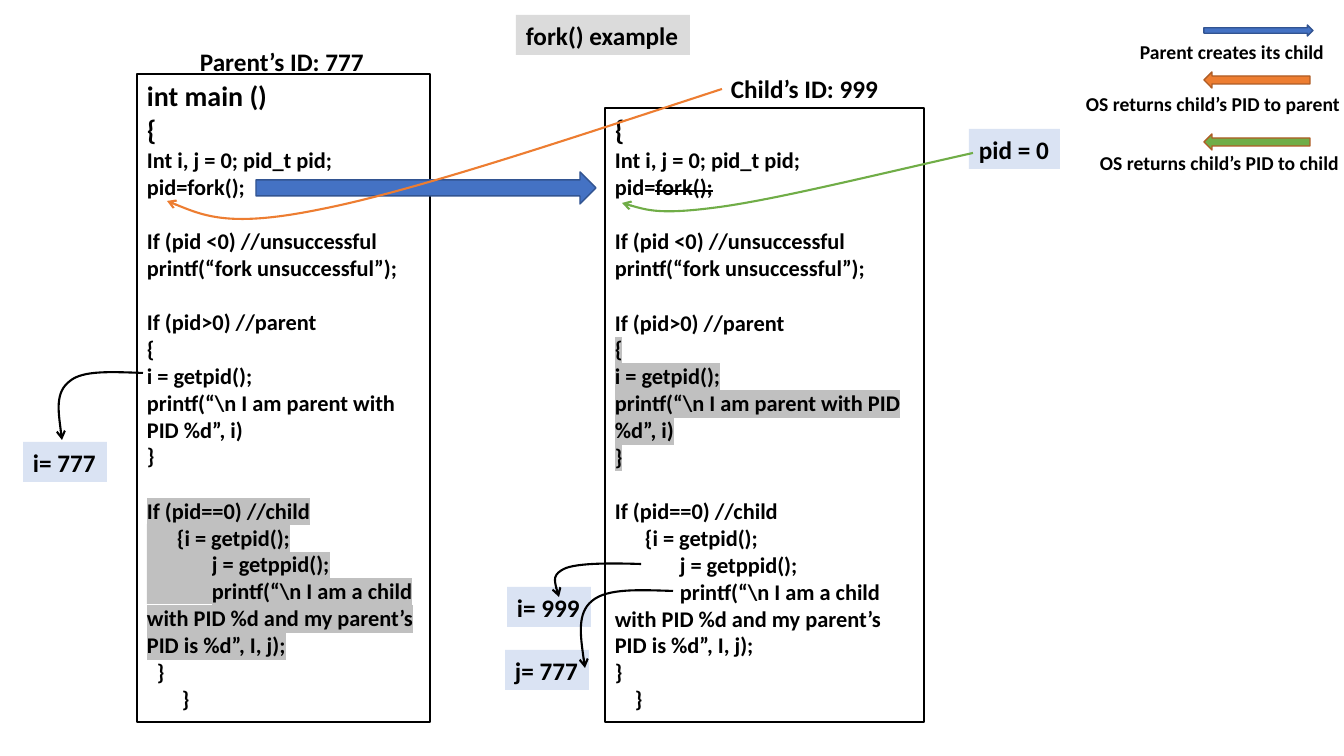
from lxml.etree import SubElement
from pptx import Presentation
from pptx.dml.color import RGBColor
from pptx.enum.shapes import MSO_SHAPE as SHAPE
from pptx.enum.text import MSO_ANCHOR, PP_ALIGN
from pptx.oxml.ns import qn
from pptx.util import Pt

PX = 9071  # EMU per pixel, 100.8 pixels to the inch
BLACK = RGBColor(0x00, 0x00, 0x00)
WHITE = RGBColor(0xFF, 0xFF, 0xFF)
GREY = RGBColor(0xC0, 0xC0, 0xC0)
TITLE_GREY = RGBColor(0xDB, 0xDB, 0xDB)
PALE_BLUE = RGBColor(0xDA, 0xE3, 0xF3)
BLUE = RGBColor(0x44, 0x72, 0xC4)
DARK_BLUE = RGBColor(0x32, 0x54, 0x91)
ORANGE = RGBColor(0xED, 0x7D, 0x31)
DARK_ORANGE = RGBColor(0xAF, 0x5C, 0x24)
GREEN = RGBColor(0x70, 0xAD, 0x47)

SPACE = 5          # width of one space of indent, in pixels
BLANK_LINE = 19.5  # gap between code blocks, in points

# Code blocks shared by both processes: (indent in spaces, text)
DECLARE = [(0, "{"), (0, "Int i, j = 0; pid_t pid;"), (0, "pid=fork();")]
FAILED = [(0, "If (pid <0) //unsuccessful"), (0, "printf(“fork unsuccessful”);")]
IF_PARENT = [(0, "If (pid>0) //parent"), (0, "{"), (0, "i = getpid();"),
             (0, "printf(“\\n I am parent with PID %d”, i)"), (0, "}")]
IF_CHILD = [(0, "If (pid==0) //child"), (6, "{i = getpid();"), (13, "j = getppid();"),
            (13, "printf(“\\n I am a child with PID %d and my parent’s PID is %d”, I, j);")]


def emu(*pixels):
    return [round(v * PX) for v in pixels]


def add_box(slide, box, fill, line=None, kind=SHAPE.RECTANGLE):
    s = slide.shapes.add_shape(kind, *emu(*box))
    s.shadow.inherit = False
    s.fill.solid()
    s.fill.fore_color.rgb = fill
    if line is None:
        s.line.fill.background()
    else:
        s.line.color.rgb = line
        s.line.width = Pt(1)
    return s


def style_run(r, size, highlight=False, strike=False):
    r.font.size = Pt(size)
    r.font.bold = True
    r.font.color.rgb = BLACK
    r.font.name = "Calibri"
    rPr = r.font._element
    if strike:
        rPr.set("strike", "sngStrike")
    if highlight:
        mark = SubElement(rPr, qn("a:highlight"))
        SubElement(mark, qn("a:srgbClr")).set("val", str(GREY))
        rPr.find(qn("a:solidFill")).addnext(mark)


def add_label(slide, box, text, size=18, fill=None):
    if fill is None:
        s = slide.shapes.add_textbox(*emu(*box))
    else:
        s = add_box(slide, box, fill)
    tf = s.text_frame
    tf.word_wrap = False
    tf.vertical_anchor = MSO_ANCHOR.TOP
    tf.text = text
    tf.paragraphs[0].alignment = PP_ALIGN.LEFT
    style_run(tf.paragraphs[0].runs[0], size)


def add_curve(slide, points, color):
    """Draw cubic curves through a start point and groups of three points."""
    builder = slide.shapes.build_freeform(*points[0], scale=PX)
    builder.add_line_segments(points[1:], close=False)
    s = builder.convert_to_shape()
    s.shadow.inherit = False
    s.fill.background()
    s.line.color.rgb = color
    s.line.width = Pt(1.5)
    SubElement(s.line._get_or_add_ln(), qn("a:tailEnd")).set("type", "arrow")
    # Turn every three straight segments into one cubic curve
    outline = next(s._element.iter(qn("a:path")))
    steps = outline.findall(qn("a:lnTo"))
    for i in range(0, len(steps), 3):
        curve = SubElement(outline, qn("a:cubicBezTo"))
        for step in steps[i:i + 3]:
            curve.append(step[0])
            outline.remove(step)


def add_program(slide, box, blocks, grey, strike_fork=False):
    """Draw one code listing; grey holds the (block, line) pairs to shade."""
    tf = add_box(slide, box, WHITE, BLACK).text_frame
    tf.word_wrap = True
    tf.vertical_anchor = MSO_ANCHOR.TOP
    p = tf.paragraphs[0]
    for b, block in enumerate(blocks):
        for n, (indent, text) in enumerate(block):
            if b or n:
                p = tf.add_paragraph()
            p.alignment = PP_ALIGN.LEFT
            pPr = p._p.get_or_add_pPr()
            pPr.set("marL", "0")
            pPr.set("indent", str(indent * SPACE * PX))
            if b and n == 0:
                p.space_before = Pt(BLANK_LINE)
            size = 20 if b == 0 and text in ("int main ()", "{") else 16
            struck = strike_fork and text.endswith("fork();")
            for part in ("pid=", "fork();") if struck else (text,):
                r = p.add_run()
                r.text = part
                style_run(r, size, (b, n) in grey, struck and part == "fork();")


def add_parent(slide, box):
    x, y, w, h = box
    blocks = [[(0, "int main ()")] + DECLARE, FAILED, IF_PARENT,
              IF_CHILD + [(2, "}"), (7, "}")]]
    add_program(slide, box, blocks, {(3, n) for n in range(4)})
    # Shading of the indents
    for top, spaces, height in ((450, 6, 27), (477, 13, 53)):
        add_box(slide, (x + 10, y + top, spaces * SPACE, height), GREY)
    add_label(slide, (x + 53, y - 33, 185, 40), "Parent’s ID: 777")
    # Value of i
    add_label(slide, (x - 114, y + 368, 84, 40), "i= 777", fill=PALE_BLUE)
    offsets = [(6, 299), (-24, 298), (-54, 296), (-67, 307),
               (-82, 318), (-78, 343), (-75, 366)]
    add_curve(slide, [(x + dx, y + dy) for dx, dy in offsets], BLACK)


def add_child(slide, box):
    x, y, w, h = box
    blocks = [DECLARE, FAILED, IF_PARENT, IF_CHILD + [(0, "}"), (4, "}")]]
    add_program(slide, box, blocks, {(2, n) for n in range(1, 5)}, strike_fork=True)
    add_label(slide, (x + 116, y - 40, 168, 40), "Child’s ID: 999")
    # Return value in the child
    add_label(slide, (x + 364, y + 21, 91, 40), "pid = 0", fill=PALE_BLUE)
    offsets = [(368, 45), (270, 67), (173, 91), (115, 99),
               (56, 107), (37, 101), (17, 95)]
    add_curve(slide, [(x + dx, y + dy) for dx, dy in offsets], GREEN)
    # Values of i and j
    i_curve = [(36, 456), (5, 455), (-25, 455), (-39, 460),
               (-53, 466), (-50, 478), (-46, 489)]
    j_curve = [(68, 483), (35, 482), (2, 480), (-13, 493),
               (-28, 505), (-24, 533), (-20, 560)]
    for text, dx, dy, curve in (("i= 999", -98, 479, i_curve),
                                ("j= 777", -100, 542, j_curve)):
        add_label(slide, (x + dx, y + dy, 84, 40), text, fill=PALE_BLUE)
        add_curve(slide, [(x + cx, y + cy) for cx, cy in curve], BLACK)


def add_fork_links(slide, box):
    """Draw the creation arrow and the PID returned to the parent."""
    x, y, w, h = box
    add_box(slide, (x + 89, y + 83, 340, 32), BLUE, DARK_BLUE, SHAPE.RIGHT_ARROW)
    offsets = [(555, 0), (402, 50), (247, 102), (155, 120),
               (63, 139), (32, 125), (0, 112)]
    add_curve(slide, [(x + dx, y + dy) for dx, dy in offsets], ORANGE)


def add_legend(slide, box):
    x, y, w, h = box
    right, left = SHAPE.RIGHT_ARROW, SHAPE.LEFT_ARROW
    # arrow top, width, height, kind, fill, line; text left, top, width, text
    rows = [(0, 109, 11, right, BLUE, DARK_BLUE, 54, 10, 206, "Parent creates its child"),
            (47, 106, 16, left, ORANGE, DARK_ORANGE, 0, 62, 276,
             "OS returns child’s PID to parent"),
            (109, 106, 16, left, GREEN, DARK_ORANGE, 14, 121, 261,
             "OS returns child’s PID to child")]
    for top, aw, ah, kind, fill, line, dx, dy, tw, text in rows:
        add_box(slide, (x + 128, y + top, aw, ah), fill, line, kind)
        add_label(slide, (x + dx, y + dy, tw, 34), text, 14)


def add_fork_slide(prs):
    slide = prs.slides.add_slide(prs.slide_layouts[6])
    add_label(slide, (516, 15, 174, 40), "fork() example", fill=TITLE_GREY)
    add_parent(slide, (137, 74, 293, 648))
    add_child(slide, (605, 108, 319, 614))
    add_fork_links(slide, (167, 89, 555, 129))
    add_legend(slide, (1076, 25, 276, 155))


prs = Presentation()
prs.slide_width, prs.slide_height = emu(1344, 756)
add_fork_slide(prs)
prs.save("out.pptx")
